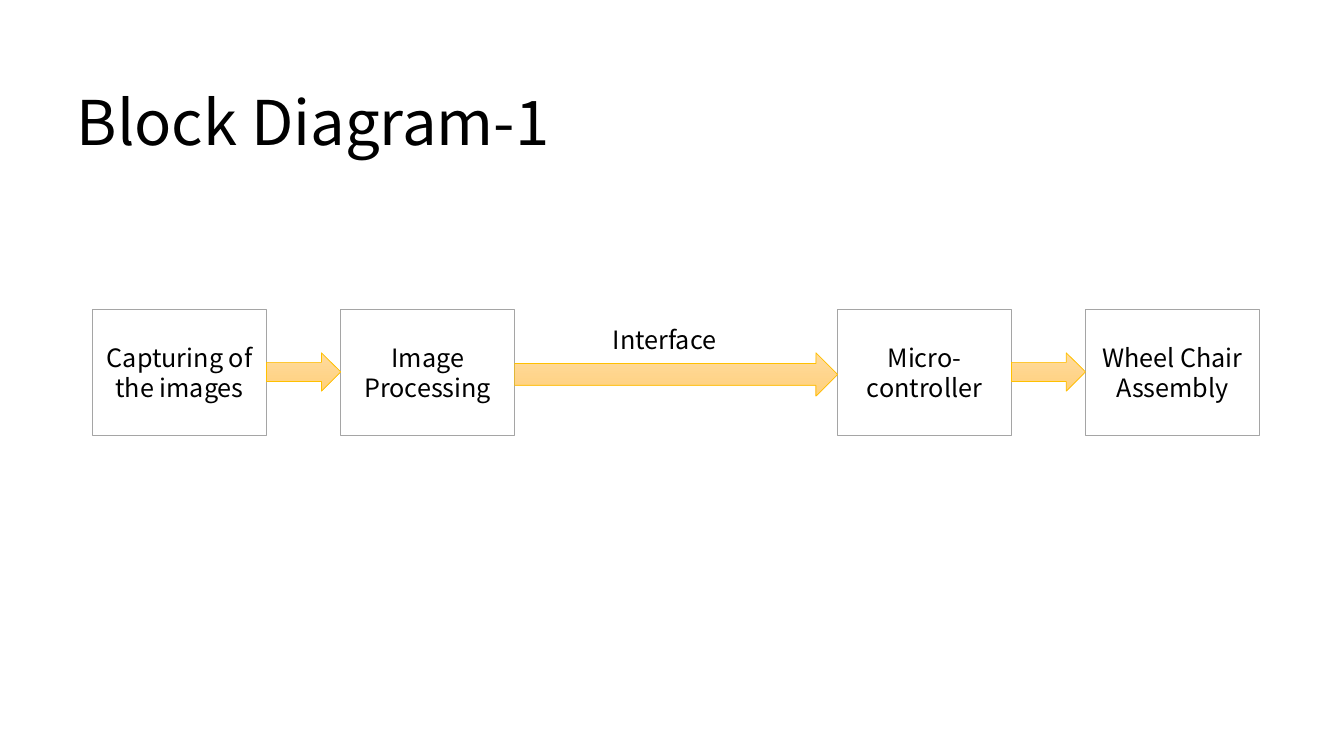
"""Build a slide with a block diagram of a wheelchair control chain."""
from pptx import Presentation
from pptx.dml.color import RGBColor
from pptx.enum.shapes import MSO_SHAPE
from pptx.enum.text import MSO_ANCHOR, PP_ALIGN
from pptx.util import Pt

RECT, ARROW = MSO_SHAPE.RECTANGLE, MSO_SHAPE.RIGHT_ARROW
MIDDLE, CENTER, LEFT = MSO_ANCHOR.MIDDLE, PP_ALIGN.CENTER, PP_ALIGN.LEFT

FONT = "Noto Sans CJK JP"
TITLE = "Block Diagram-1"
LABEL = "Interface"
BLOCKS = [
    ("Capturing of the images", 66.2),
    ("Image Processing", 243.4),
    ("Micro-controller", 598.3),
    ("Wheel Chair Assembly", 775.4),
]
HEIGHTS = [27.4, 31, 27.4]
SHADES = ["FFDB9E", "FFD07C"]
TOP, WIDE, HIGH = 221, 124.2, 90
ARROW_TOP = 252


def color(code):
    return RGBColor.from_string(code)


def write(shape, text, size, align):
    frame = shape.text_frame
    frame.text = text
    para = frame.paragraphs[0]
    para.alignment = align
    font = para.runs[0].font
    font.name, font.size = FONT, Pt(size)
    font.color.rgb = color("000000")
    return frame


def draw(slide, kind, box, edge, width):
    shape = slide.shapes.add_shape(kind, *map(Pt, box))
    shape.shadow.inherit = False
    shape.line.color.rgb = color(edge)
    shape.line.width = Pt(width)
    return shape


def main():
    deck = Presentation()
    deck.slide_width, deck.slide_height = Pt(960), Pt(540)
    slide = deck.slides.add_slide(deck.slide_layouts[5])

    title = slide.shapes.title
    title.left, title.top, title.width, title.height = map(Pt, (47.5, 34.6, 741, 110))
    frame = write(title, TITLE, 44, LEFT)
    frame.vertical_anchor = MIDDLE
    frame.paragraphs[0].line_spacing = 0.9

    for text, left in BLOCKS:
        block = draw(slide, RECT, (left, TOP, WIDE, HIGH), "A5A5A5", 1)
        block.fill.solid()
        block.fill.fore_color.rgb = color("FFFFFF")
        frame = write(block, text, 18, CENTER)
        frame.word_wrap = True
        frame.vertical_anchor = MIDDLE

    for (_, left), (_, right), high in zip(BLOCKS, BLOCKS[1:], HEIGHTS):
        start = left + WIDE
        arrow = draw(slide, ARROW, (start, ARROW_TOP, right - start, high), "FFC000", 0.5)
        arrow.fill.gradient()
        arrow.fill.gradient_angle = 270
        for stop, shade in zip(arrow.fill.gradient_stops, SHADES):
            stop.color.rgb = color(shade)

    label = slide.shapes.add_textbox(*map(Pt, (430.6, 228.2, 176.4, 29)))
    write(label, LABEL, 18, LEFT).word_wrap = True

    deck.save("out.pptx")


if __name__ == "__main__":
    main()
